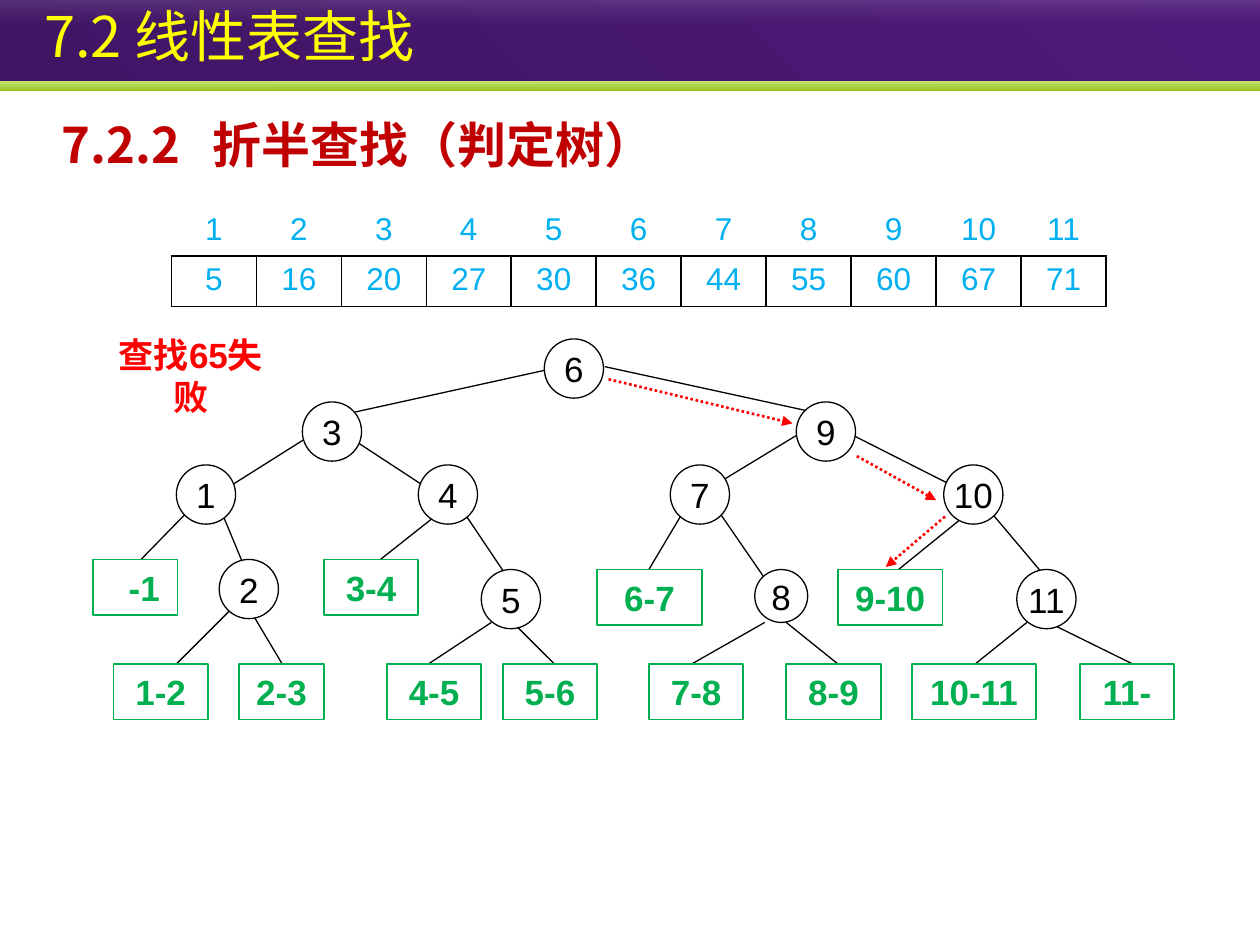
from pptx import Presentation
from pptx.dml.color import RGBColor
from pptx.enum.dml import MSO_LINE
from pptx.enum.shapes import MSO_CONNECTOR, MSO_SHAPE
from pptx.enum.text import MSO_ANCHOR, PP_ALIGN
from pptx.oxml.ns import qn
from pptx.util import Inches, Pt
from lxml.etree import SubElement

COLORS = {
    "purple": "401565", "violet": "4D1979", "lime": "C9E576", "green": "97C523",
    "white": "FFFFFF", "gray": "B6B6B6", "black": "000000", "yellow": "FFFF00",
    "dark_red": "C00000", "red": "FF0000", "leaf": "00B050", "blue": "00B0F0",
}
LATIN, CHINESE = "Arial", "Noto Sans CJK SC"
MARGINS = ("margin_left", "margin_top", "margin_right", "margin_bottom")

FORMATS = {
    "title": {"size": Pt(32), "name": CHINESE, "color": "yellow"},
    "heading": {"size": Pt(28), "name": CHINESE, "color": "dark_red", "bold": True},
    "node": {"size": Pt(20), "name": LATIN, "color": "black"},
    "leaf": {"size": Pt(20), "name": LATIN, "color": "leaf", "bold": True},
    "cell": {"size": Pt(18), "name": LATIN, "color": "blue"},
    "note": {"size": Pt(20), "name": LATIN, "color": "red", "bold": True},
}

VALUES = [5, 16, 20, 27, 30, 36, 44, 55, 60, 67, 71]
NODE_SIZE, LEAF_HEIGHT = 0.47, 0.44
# label, left, top, diameter
NODES = [
    ("6", 4.32, 2.69, NODE_SIZE),
    ("3", 2.4, 3.19, NODE_SIZE), ("9", 6.32, 3.19, NODE_SIZE),
    ("1", 1.4, 3.69, NODE_SIZE), ("4", 3.32, 3.69, NODE_SIZE),
    ("7", 5.32, 3.69, NODE_SIZE), ("10", 7.49, 3.69, NODE_SIZE),
    ("2", 1.74, 4.44, NODE_SIZE), ("5", 3.82, 4.52, NODE_SIZE),
    ("8", 5.99, 4.52, 0.42), ("11", 8.07, 4.52, NODE_SIZE),
]
# label, left, top, width
LEAVES = [
    ("-1", 0.74, 4.44, 0.67), ("3-4", 2.57, 4.44, 0.75),
    ("6-7", 4.74, 4.52, 0.83), ("9-10", 6.65, 4.52, 0.83),
    ("1-2", 0.9, 5.27, 0.75), ("2-3", 1.9, 5.27, 0.67),
    ("4-5", 3.07, 5.27, 0.75), ("5-6", 3.99, 5.27, 0.75),
    ("7-8", 5.15, 5.27, 0.75), ("8-9", 6.24, 5.27, 0.75),
    ("10-11", 7.24, 5.27, 0.98), ("11-", 8.57, 5.27, 0.75),
]
# x and y of the start, x and y of the end
BRANCHES = [
    (4.32, 2.94, 2.82, 3.27), (4.8, 2.91, 6.45, 3.27),
    (2.49, 3.44, 1.76, 3.9), (2.82, 3.5, 3.4, 3.88),
    (6.38, 3.42, 5.59, 3.9), (6.74, 3.44, 7.65, 3.9),
    (1.51, 4.04, 1.1, 4.46), (1.77, 4.09, 1.94, 4.5),
    (3.45, 4.1, 3.02, 4.44), (3.65, 4.02, 4.08, 4.66),
    (5.4, 4.1, 5.15, 4.52), (5.67, 4.01, 6.09, 4.62),
    (7.65, 4.1, 7.07, 4.57), (7.86, 4.06, 8.29, 4.57),
    (1.82, 4.85, 1.4, 5.27), (1.99, 4.85, 2.24, 5.27),
    (3.9, 4.94, 3.4, 5.27), (4.07, 4.94, 4.4, 5.27),
    (6.07, 4.94, 5.49, 5.27), (6.24, 4.94, 6.65, 5.27),
    (8.15, 4.94, 7.74, 5.27), (8.32, 4.94, 8.99, 5.27),
]
SEARCH_STEPS = [
    (4.83, 3.01, 6.29, 3.36), (6.8, 3.62, 7.43, 3.97), (7.5, 4.1, 7.03, 4.5),
]


def rgb(name):
    return RGBColor.from_string(COLORS[name])


class SlideBuilder:
    def __init__(self, slide, formats):
        self.slide = slide
        self.formats = formats

    def add_text(self, paragraph, text, style, align=PP_ALIGN.CENTER):
        paragraph.alignment = align
        run = paragraph.add_run()
        run.text = text
        for attribute, value in self.formats[style].items():
            if attribute == "color":
                run.font.color.rgb = rgb(value)
            else:
                setattr(run.font, attribute, value)
        SubElement(run._r.get_or_add_rPr(), qn("a:ea"), typeface=CHINESE)

    def band(self, box, colors, angle, opacities=()):
        """Full-width gradient bar; opacities are percentages per stop."""
        shape = self.slide.shapes.add_shape(MSO_SHAPE.RECTANGLE, *map(Inches, box))
        shape.shadow.inherit = False
        shape.line.fill.background()
        shape.fill.gradient()
        shape.fill.gradient_angle = angle
        for stop, position, color in zip(shape.fill.gradient_stops, (0, 1), colors):
            stop.position = position
            stop.color.rgb = rgb(color)
        for element, opacity in zip(shape._element.spPr.iter(qn("a:srgbClr")), opacities):
            SubElement(element, qn("a:alpha"), val=str(opacity * 1000))

    def text_box(self, box, text, style, align=PP_ALIGN.LEFT, wrap=True,
                 anchor=MSO_ANCHOR.MIDDLE, left_margin=0.1, tab=None):
        frame = self.slide.shapes.add_textbox(*map(Inches, box)).text_frame
        frame.word_wrap = wrap
        frame.vertical_anchor = anchor
        frame.margin_left = Inches(left_margin)
        paragraph = frame.paragraphs[0]
        if tab:
            tabs = SubElement(paragraph._p.get_or_add_pPr(), qn("a:tabLst"))
            SubElement(tabs, qn("a:tab"), pos=str(Inches(tab)), algn="l")
        self.add_text(paragraph, text, style, align)

    def labelled_shape(self, kind, box, text, style, line_width, left_margin=0):
        shape = self.slide.shapes.add_shape(kind, *map(Inches, box))
        shape.shadow.inherit = False
        shape.fill.solid()
        shape.fill.fore_color.rgb = rgb("white")
        shape.line.color.rgb = rgb(self.formats[style]["color"])
        shape.line.width = Pt(line_width)
        frame = shape.text_frame
        for margin in MARGINS:
            setattr(frame, margin, 0)
        frame.margin_left = Inches(left_margin)
        frame.word_wrap = True
        frame.vertical_anchor = MSO_ANCHOR.MIDDLE
        self.add_text(frame.paragraphs[0], text, style)

    def line(self, ends, color="black", width=0.75, arrow=False):
        connector = self.slide.shapes.add_connector(
            MSO_CONNECTOR.STRAIGHT, *map(Inches, ends))
        connector.line.color.rgb = rgb(color)
        connector.line.width = Pt(width)
        properties = connector._element.spPr
        if arrow:
            connector.line.dash_style = MSO_LINE.ROUND_DOT
            SubElement(properties.find(qn("a:ln")), qn("a:tailEnd"), type="triangle")
        SubElement(properties, qn("a:effectLst"))

    def border(self, cell, sides):
        properties = cell._tc.get_or_add_tcPr()
        for side in sides:
            line = SubElement(properties, qn(f"a:ln{side}"), w=str(Pt(1)))
            fill = SubElement(line, qn("a:solidFill"))
            SubElement(fill, qn("a:srgbClr"), val=COLORS["black"])

    def table(self, box, rows):
        """Top row is unboxed indexes; the row below is boxed values."""
        table = self.slide.shapes.add_table(
            len(rows), len(rows[0]), *map(Inches, box)).table
        table.first_row = table.horz_banding = False
        for row_index, (row, sides) in enumerate(zip(rows, ("B", "LRTB"))):
            for column_index, value in enumerate(row):
                cell = table.cell(row_index, column_index)
                self.border(cell, sides)
                cell.fill.background()
                self.add_text(cell.text_frame.paragraphs[0], str(value), "cell")


def main():
    presentation = Presentation()
    presentation.slide_width, presentation.slide_height = Inches(10), Inches(7.5)
    slide = presentation.slides.add_slide(presentation.slide_layouts[6])
    builder = SlideBuilder(slide, FORMATS)

    builder.band((0, 0, 10, 0.64), ("purple", "violet"), 45)
    builder.band((0, 0.64, 10, 0.08), ("lime", "green"), 270)
    builder.band((0, 0, 10, 0.2), ("white", "gray"), 270, (13, 0))
    builder.text_box((0.06, -0.08, 9.9, 0.71), "7.2 线性表查找", "title", left_margin=0.29)
    builder.text_box((0.39, 0.86, 6.72, 0.57), "7.2.2\t折半查找（判定树）", "heading",
                     anchor=MSO_ANCHOR.TOP, tab=1.2)

    for ends in BRANCHES:
        builder.line(ends)
    for label, left, top, size in NODES:
        builder.labelled_shape(MSO_SHAPE.OVAL, (left, top, size, size), label, "node", 0.75)
    for label, left, top, width in LEAVES:
        builder.labelled_shape(MSO_SHAPE.RECTANGLE, (left, top, width, LEAF_HEIGHT), label,
                               "leaf", 1, left_margin=0.14 if label == "-1" else 0)
    for ends in SEARCH_STEPS:
        builder.line(ends, "red", 1.5, arrow=True)

    builder.table((1.36, 1.63, 7.42, 0.8), [range(1, len(VALUES) + 1), VALUES])
    builder.text_box((0.84, 2.78, 1.35, 0.4), "查找65失败", "note",
                     align=PP_ALIGN.CENTER, wrap=False)
    presentation.save("out.pptx")


if __name__ == "__main__":
    main()
